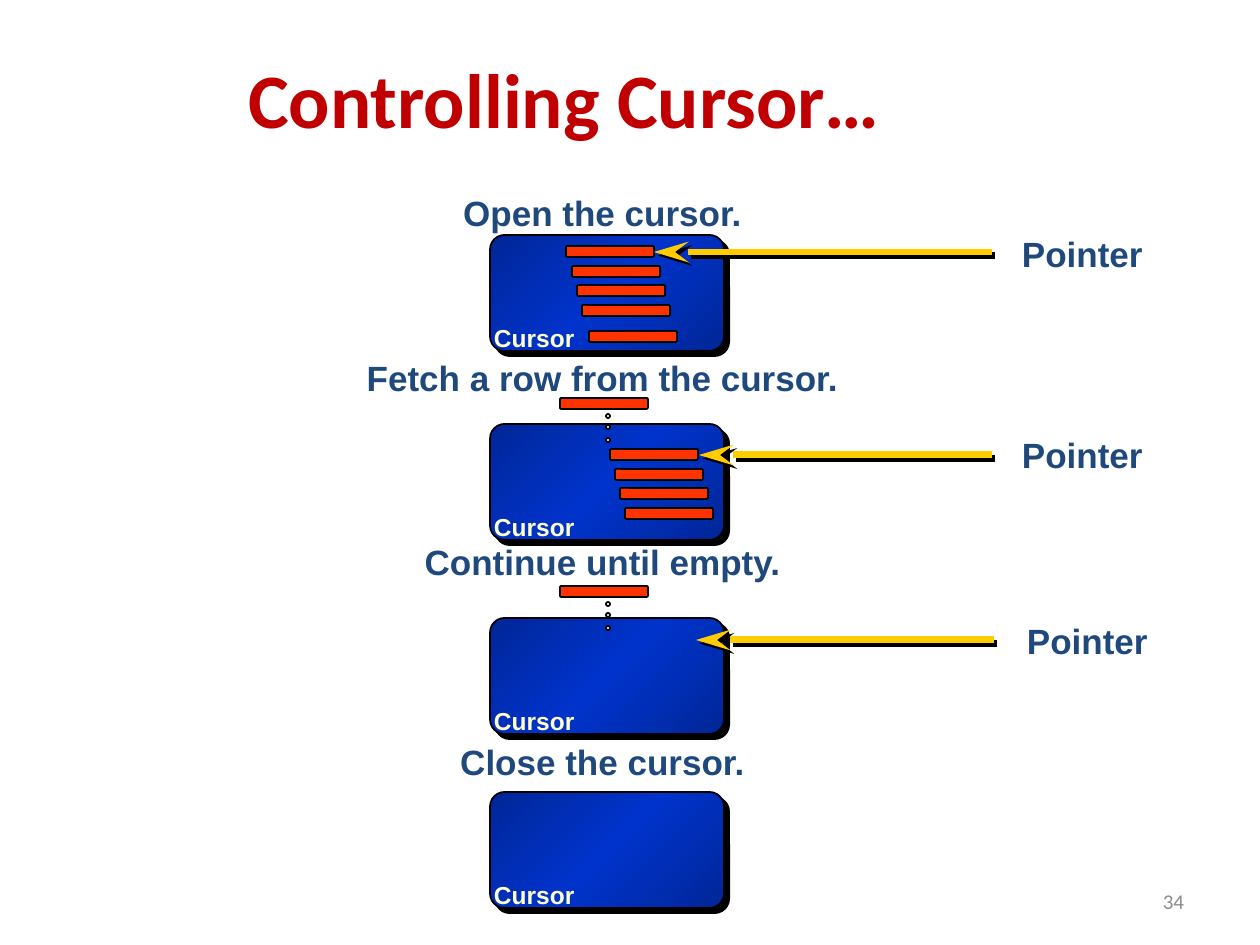
import copy
import pptx
import pptx.util
import pptx.dml.color
import pptx.enum.shapes
import pptx.enum.text
import pptx.oxml
import pptx.oxml.ns

PX = 914400 / 126
Pt = pptx.util.Pt
Rgb = pptx.dml.color.RGBColor.from_string
Kind = pptx.enum.shapes.MSO_SHAPE
Align = pptx.enum.text.PP_ALIGN
Anchor = pptx.enum.text.MSO_ANCHOR
qn = pptx.oxml.ns.qn
INK = {"title": "C00000", "text": "1F497D", "label": "FFFFCC", "edge": "000000",
       "deep": "002697", "blue": "0033CC", "row": "FF3300", "arrow": "FFCC00", "page": "8C8C8C"}
SHADE = ('<a:effectLst %s><a:outerShdw dist="%d" dir="2700000" algn="ctr" rotWithShape="0">'
         '<a:srgbClr val="%s"/></a:outerShdw></a:effectLst>')
NS = pptx.oxml.ns.nsdecls("a")

deck = pptx.Presentation()
deck.slide_width, deck.slide_height = round(1260 * PX), round(945 * PX)
slide = deck.slides.add_slide(deck.slide_layouts[5])
shapes = slide.shapes


def write(words, *at, box=None, size=20, font="Arial", ink="text", bold=True,
          align=Align.LEFT, anchor=Anchor.TOP, pad=(13, 6), wrap=True, space=None):
    """Put formatted words in box, or in a new text box, at left, top, width, height in px."""
    at = [round(v * PX) for v in at]
    box = box or shapes.add_textbox(*at)
    box.left, box.top, box.width, box.height = at
    frame = box.text_frame
    frame.word_wrap, frame.vertical_anchor = wrap, anchor
    frame.margin_left = frame.margin_right = round(pad[0] * PX)
    frame.margin_top = frame.margin_bottom = round(pad[1] * PX)
    para = frame.paragraphs[0]
    para.text, para.alignment, para.line_spacing = words, align, space
    para.font.size, para.font.name, para.font.bold = Pt(size), font, bold
    para.font.color.rgb = Rgb(INK[ink])


def draw(kind, fill, *at):
    """Add a flat shape with a thin black edge at left, top, width, height in px."""
    shape = shapes.add_shape(kind, *[round(v * PX) for v in at])
    shape.shadow.inherit = False
    shape.line.color.rgb, shape.line.width = Rgb(INK["edge"]), Pt(1)
    shape.fill.solid()
    shape.fill.fore_color.rgb = Rgb(INK[fill])
    if kind == Kind.ROUNDED_RECTANGLE:
        shape.adjustments[0] = 0.125
    return shape


write("Controlling Cursor…", 233, 45, 663, 106, box=shapes.title, size=44, font="Calibri",
      ink="title", align=Align.CENTER, anchor=Anchor.MIDDLE, wrap=False)
write("34", 903, 876, 294, 50, size=12, font="Calibri", ink="page", bold=False,
      align=Align.RIGHT, anchor=Anchor.MIDDLE)

# caption, caption top, card top, rows in card, fetched row top, pointer (left, top, tip x, tail x, y)
steps = [
    ("Open the cursor.", 189, 235,
     [(566, 246), (572, 266), (577, 285), (582, 305), (589, 331)], None, (1009, 226, 654, 992, 252)),
    ("Fetch a row from the cursor.", 354, 424,
     [(610, 449), (615, 469), (620, 488), (625, 508)], 398, (1009, 427, 699, 992, 455)),
    ("Continue until empty.", 538, 618, [], 586, (1014, 613, 696, 994, 640)),
    ("Close the cursor.", 738, 792, [], None, None),
]
for words, top, y, rows, out, point in steps:
    write(words, 316, top, 573, 53, align=Align.CENTER, space=0.95)

    card = draw(Kind.ROUNDED_RECTANGLE, "blue", 490, y, 234, 116)
    card.fill.gradient()
    card.fill.gradient_angle = 315
    stops = card._element.spPr.find(qn("a:gradFill")).find(qn("a:gsLst"))
    stops.insert(1, copy.deepcopy(stops[0]))
    for stop, place, ink in zip(card.fill.gradient_stops, (0, 0.5, 1), ("deep", "blue", "deep")):
        stop.position, stop.color.rgb = place, Rgb(INK[ink])
    flat = card._element.spPr.find(qn("a:effectLst"))
    flat.getparent().replace(flat, pptx.oxml.parse_xml(SHADE % (NS, Pt(4.2), INK["edge"])))
    write("Cursor", 486, y + 84, 108, 38, size=14, ink="label", pad=(8, 4))

    if out:
        for drop in (40, 27, 16):
            draw(Kind.OVAL, "label", 606, out + drop, 4, 4)
        rows = rows + [(560, out)]
    for left, high in rows:
        draw(Kind.ROUNDED_RECTANGLE, "row", left, high, 88, 11)

    if point:
        left, high, tip, tail, mid = point
        write("Pointer", left, high, 177, 54)
        arrow = shapes.add_connector(pptx.enum.shapes.MSO_CONNECTOR.STRAIGHT,
                                     *[round(v * PX) for v in (tail, mid, tip, mid)])
        arrow.line.color.rgb, arrow.line.width = Rgb(INK["arrow"]), Pt(4)
        arrow.line._get_or_add_ln().append(pptx.oxml.parse_xml(
            f'<a:tailEnd {NS} type="stealth" w="med" len="lg"/>'))
        arrow._element.spPr.append(pptx.oxml.parse_xml(SHADE % (NS, Pt(2.8), INK["edge"])))

deck.save("out.pptx")
